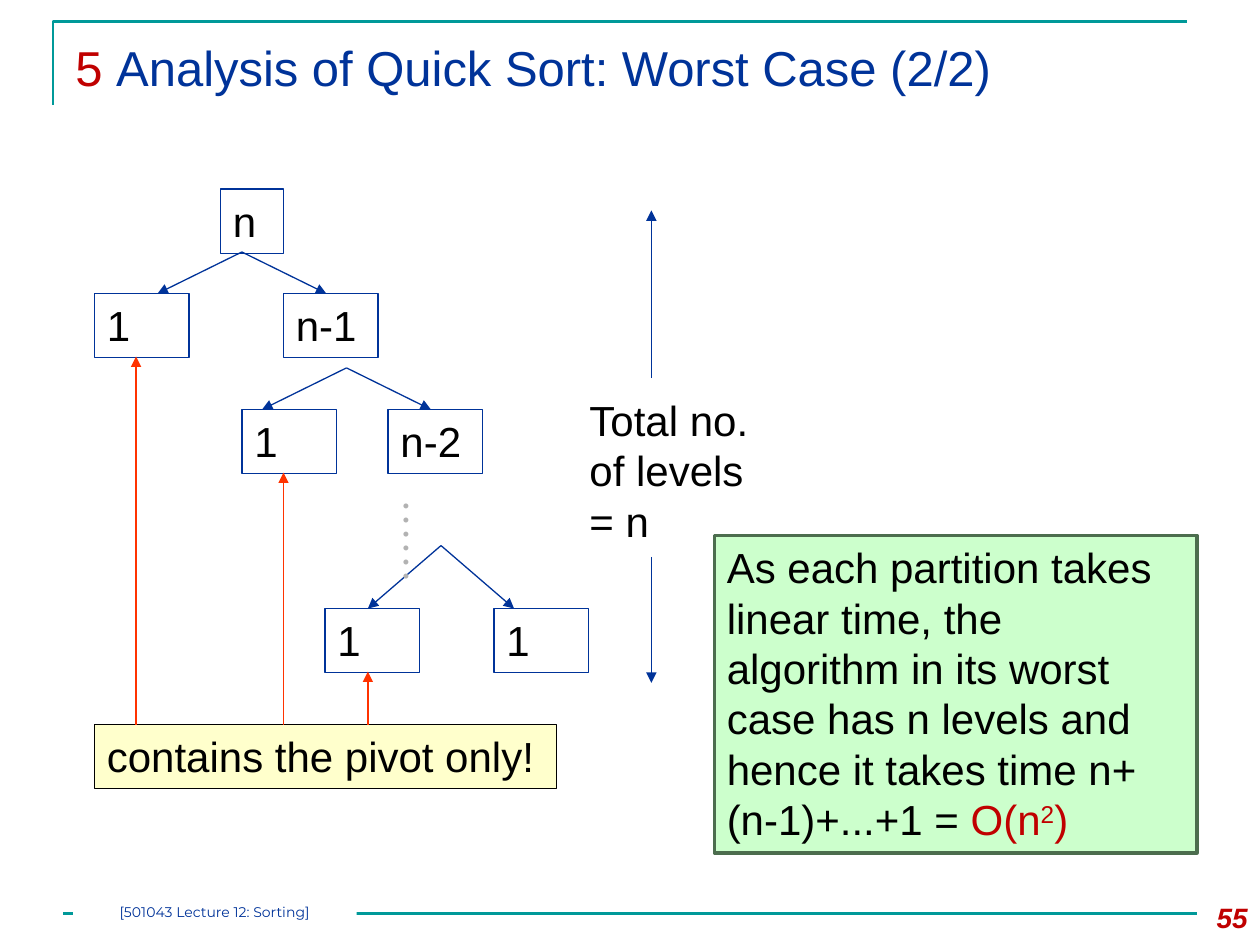
import pptx
import pptx.util
import pptx.dml.color
import pptx.enum.shapes
import pptx.enum.text
import pptx.oxml.ns
import lxml.etree

Inches = pptx.util.Inches
Pt = pptx.util.Pt
RGBColor = pptx.dml.color.RGBColor
ALIGN = pptx.enum.text.PP_ALIGN
qn = pptx.oxml.ns.qn

BLUE = RGBColor(0x00, 0x33, 0x99)
TEAL = RGBColor(0x00, 0x99, 0x99)
RED = RGBColor(0xC0, 0x00, 0x00)
ORANGE = RGBColor(0xFF, 0x33, 0x00)
BLACK = RGBColor(0x00, 0x00, 0x00)
GRAY = RGBColor(0xB2, 0xB2, 0xB2)
WHITE = RGBColor(0xFF, 0xFF, 0xFF)
YELLOW = RGBColor(0xFF, 0xFF, 0xCC)
GREEN = RGBColor(0xCC, 0xFF, 0xCC)
DARK_GREEN = RGBColor(0x4C, 0x6D, 0x4E)


class SlideBuilder:
    def __init__(self, slide, font="Arial", size=24):
        self.slide = slide
        self.font = font
        self.size = size

    def add_runs(self, sp, runs, size=None, font=None, align=ALIGN.LEFT):
        """Fill a shape with one paragraph of (text, colour) runs."""
        tf = sp.text_frame
        tf.word_wrap = True
        tf.vertical_anchor = pptx.enum.text.MSO_ANCHOR.TOP
        p = tf.paragraphs[0]
        p.alignment = align
        p.font.size = Pt(size or self.size)
        p.font.name = font or self.font
        for text, color in runs:
            r = p.add_run()
            r.text = text
            r.font.color.rgb = color
        return p

    def text(self, x, y, w, h, runs, **style):
        sp = self.slide.shapes.add_textbox(Inches(x), Inches(y), Inches(w), Inches(h))
        return sp, self.add_runs(sp, runs, **style)

    def box(self, x, y, w, h, runs, fill=None, line=BLUE, width=0.75, **style):
        sp = self.slide.shapes.add_shape(
            pptx.enum.shapes.MSO_SHAPE.RECTANGLE, Inches(x), Inches(y), Inches(w), Inches(h))
        sp.shadow.inherit = False
        if fill is None:
            sp.fill.background()
        else:
            sp.fill.solid()
            sp.fill.fore_color.rgb = fill
        if line is None:
            sp.line.fill.background()
        else:
            sp.line.color.rgb = line
            sp.line.width = Pt(width)
        return sp, self.add_runs(sp, runs, **style)

    def line(self, start, end, color=BLUE, width=0.75, arrow=True):
        cx = self.slide.shapes.add_connector(
            pptx.enum.shapes.MSO_CONNECTOR.STRAIGHT, *map(Inches, start + end))
        cx.line.color.rgb = color
        cx.line.width = Pt(width)
        sp_pr = cx._element.spPr
        if arrow:
            lxml.etree.SubElement(sp_pr.find(qn("a:ln")), qn("a:tailEnd"), type="triangle")
        lxml.etree.SubElement(sp_pr, qn("a:effectLst"))

    def outline(self, points, color, width):
        start, *rest = [(Inches(x), Inches(y)) for x, y in points]
        fb = self.slide.shapes.build_freeform(*start)
        fb.add_line_segments(rest, close=False)
        sp = fb.convert_to_shape()
        sp.shadow.inherit = False
        sp.fill.background()
        sp.line.color.rgb = color
        sp.line.width = Pt(width)


def main():
    prs = pptx.Presentation()
    prs.slide_width, prs.slide_height = Inches(10), Inches(7.5)
    s = SlideBuilder(prs.slides.add_slide(prs.slide_layouts[6]))

    # Frame, title and page number
    s.outline([(0.42, 0.83), (0.42, 0.17), (9.42, 0.17)], TEAL, 1.5)
    s.line((0.5, 7.25), (9.5, 7.25), TEAL, 1.5, arrow=False)
    s.text(0.5, 0.25, 9.17, 1,
           [("5 ", RED), ("Analysis of Quick Sort: Worst Case (2/2)", BLUE)], size=28)
    _, p = s.text(9.33, 7.1, 0.67, 0.4, [("55", RED)], size=16, align=ALIGN.RIGHT)
    p.font.bold = p.font.italic = True

    # Height of the tree
    s.line((5.17, 3), (5.17, 1.67))
    s.line((5.17, 4.42), (5.17, 5.42))
    s.text(4.58, 3.08, 1.58, 1.3, [("Total no. of levels = n", BLACK)])

    # Partition tree: nodes, then a pair of branches per split
    node_h = 0.51
    nodes = [("n", 1.75, 1.5, 0.5),
             ("1", 0.75, 2.33, 0.75), ("n-1", 2.25, 2.33, 0.75),
             ("1", 1.92, 3.25, 0.75), ("n-2", 3.08, 3.25, 0.75),
             ("1", 2.58, 4.83, 0.75), ("1", 3.92, 4.83, 0.75)]
    for label, x, y, w in nodes:
        s.box(x, y, w, node_h, [(label, BLACK)])
    splits = [(1.92, 2, 0.67, 2.33), (2.75, 2.92, 0.67, 3.25), (3.5, 4.33, 0.58, 4.83)]
    for x, y, reach, bottom in splits:
        for side in (-1, 1):
            s.line((x, y), (x + side * reach, bottom))

    # Omitted levels
    sp, _ = s.text(2.99, 3.87, 0.6, 0.77, [("……", GRAY)], font="Times New Roman")
    sp.text_frame.word_wrap = False
    sp.text_frame._txBody.bodyPr.set("vert", "eaVert")

    # Conclusion
    _, p = s.box(5.67, 4.25, 3.83, 2.52, [
        ("As each partition takes linear time, the algorithm in its worst case "
         "has n levels and hence it takes time n+(n-1)+...+1 = ", BLACK),
        ("O(n", RED), ("2", RED), (")", RED)], GREEN, DARK_GREEN, 2)
    p.runs[2].font._element.set("baseline", "30000")

    # Pivot note
    s.box(0.75, 5.75, 3.67, node_h, [("contains the pivot only!", BLACK)], YELLOW, BLACK)
    for x, top in [(1.08, 2.83), (2.25, 3.75), (2.92, 5.33)]:
        s.line((x, 5.75), (x, top), ORANGE)

    # Footer
    sp, _ = s.box(0.58, 7.17, 2.25, 0.17, [("[501043 Lecture 12: Sorting]", BLUE)],
                  WHITE, None, size=8, font="Montserrat", align=ALIGN.CENTER)
    tf = sp.text_frame
    tf.margin_left = tf.margin_right = tf.margin_top = tf.margin_bottom = 0

    prs.save("out.pptx")


if __name__ == "__main__":
    main()
